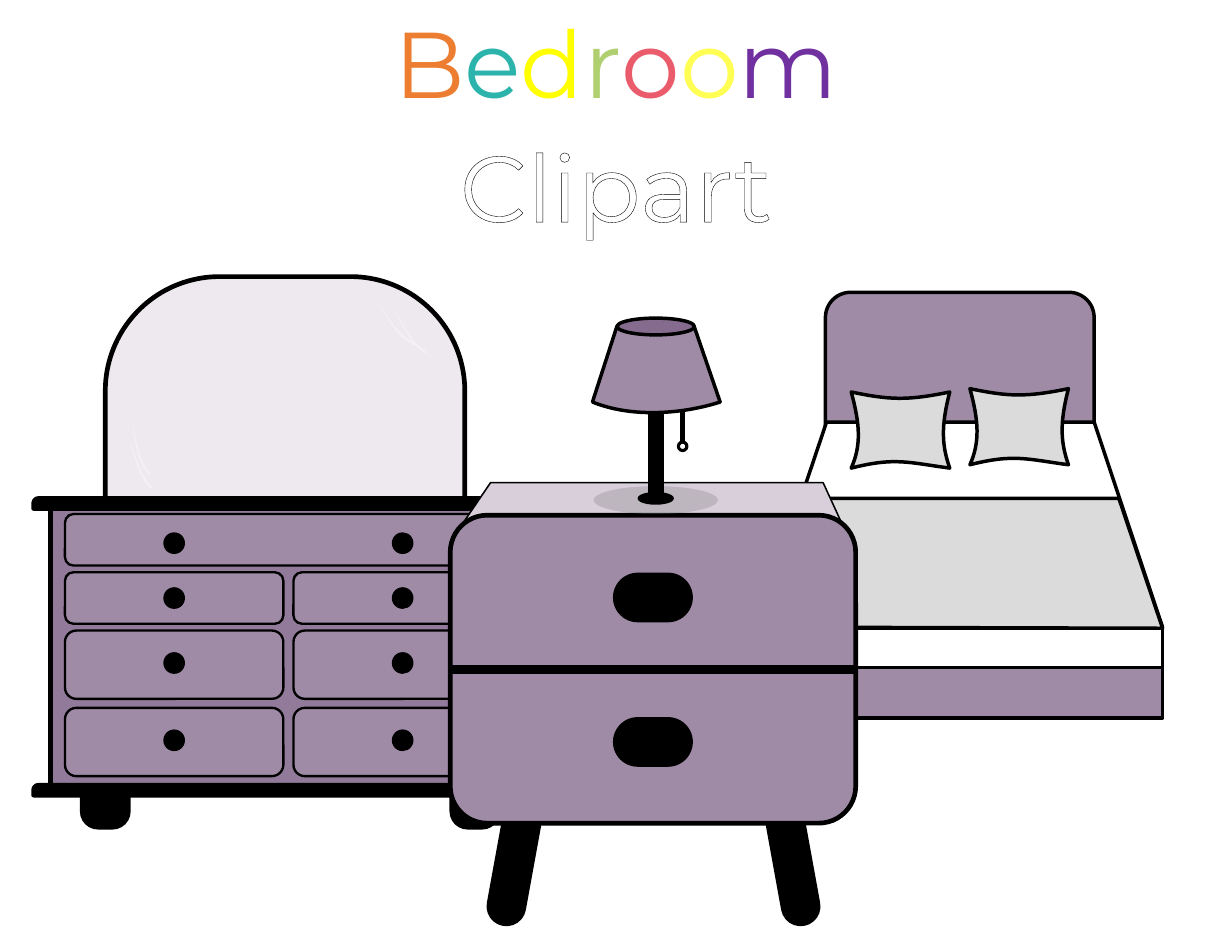
import dataclasses

import lxml.etree
import pptx
import pptx.dml.color
import pptx.enum.shapes
import pptx.enum.text
import pptx.oxml.ns
import pptx.util

CELL = pptx.util.Inches(0.1)  # the slide is a grid of 110 columns by 85 rows
COLUMNS, ROWS = 110, 85
FORMS = pptx.enum.shapes.MSO_SHAPE
COLORS = {
    "black": "000000", "white": "FFFFFF", "mauve": "A08BA7", "plum": "927A9A",
    "deep plum": "856C8E", "pale mauve": "D8CFDB", "mirror": "EDE9EF",
    "linen": "DBDBDB", "shadow": "7C7C7C", "orange": "ED7D31",
    "teal": "2CB4AC", "yellow": "FFFF00", "green": "B0CF71",
    "coral": "EA5B6B", "lemon": "FFFF53", "violet": "7030A0",
}
TITLE_LETTERS = list(zip(
    "Bedroom", ["orange", "teal", "yellow", "green", "coral", "lemon", "violet"]))

# Outlines: a start point, then (x, y) for a line or six numbers for a curve.
PILLOW = [(0, 0), (3.4, 0.7, 4.9, 0.8, 8.8, 0), (8, 3.1, 8.1, 4.8, 8.8, 6.8),
          (5.1, 6.3, 3.9, 5.8, 0, 6.8), (0.9, 4.8, 0.8, 2.9, 0, 0)]
LAMPSHADE = [(0, 7.5), (3.7, 9, 8.3, 8.5, 11.4, 7.5), (9.1, 0.8), (2.2, 0.7), (0, 7.5)]
GLINT = [(0.5, 4.74), (0.24, 4.84, -0.14, 3.25, 0.05, 2.35),
         (0.11, 1.49, 0.4, -0.13, 0.45, 0), (0.38, 0.41, 0.22, 1.98, 0.2, 2.74),
         (0.18, 3.5, 0.54, 4.65, 0.5, 4.74)]
GLINT_PLACES = [(9.2, 14.5, 335.6), (9.2, 13.2, 340.7),
                (33.3, 2.7, 323.1), (32.1, 2.1, 318)]


def rgb(name):
    return pptx.dml.color.RGBColor.from_string(COLORS[name])


def paint(shape, fill, line, opacity=100, line_color="black"):
    shape.shadow.inherit = False
    shape.fill.solid()
    shape.fill.fore_color.rgb = rgb(fill)
    if opacity < 100:
        color = shape.fill._xPr.find(".//" + pptx.oxml.ns.qn("a:srgbClr"))
        lxml.etree.SubElement(color, pptx.oxml.ns.qn("a:alpha"), val=str(opacity * 1000))
    if line:
        shape.line.color.rgb = rgb(line_color)
        shape.line.width = pptx.util.Pt(line)
    else:
        shape.line.fill.background()


def bend(middle, end, points):
    """Turn the two lines that stand for a curve into one Bézier segment."""
    curve = lxml.etree.Element(pptx.oxml.ns.qn("a:cubicBezTo"))
    for x, y in points:
        lxml.etree.SubElement(curve, pptx.oxml.ns.qn("a:pt"), x=str(x), y=str(y))
    middle.getparent().remove(middle)
    end.getparent().replace(end, curve)


@dataclasses.dataclass
class Box:
    """A region in grid cells; everything drawn in it is relative to its corner."""
    shapes: object
    left: float
    top: float
    width: float
    height: float

    def point(self, x, y):
        return round((self.left + x) * CELL), round((self.top + y) * CELL)

    def form(self, form, x, y, width, height, fill="black", line=1, opacity=100,
             line_color="black", adjustments=(), rotation=0):
        shape = self.shapes.add_shape(
            form, *self.point(x, y), round(width * CELL), round(height * CELL))
        for index, value in enumerate(adjustments):
            shape.adjustments[index] = value
        shape.rotation = rotation
        paint(shape, fill, line, opacity, line_color)

    def outline(self, path, fill, line=2.25, opacity=100, x=0, y=0, rotation=0):
        """Draw a path; curves enter by middle and end, so the extents fit them."""
        last, vertices, curves = path[0], [], []
        for segment in path[1:]:
            pairs = list(zip(segment[::2], segment[1::2]))
            if len(pairs) == 3:
                curves.append((len(vertices), pairs))
                first, second, end = pairs
                vertices.append(tuple(
                    (a + 3 * b + 3 * c + d) / 8
                    for a, b, c, d in zip(last, first, second, end)))
            last = pairs[-1]
            vertices.append(last)
        builder = self.shapes.build_freeform(
            *self.point(x + path[0][0], y + path[0][1]), scale=1.0)
        builder.add_line_segments(
            [self.point(x + across, y + down) for across, down in vertices], close=True)
        shape = builder.convert_to_shape()
        lines = list(shape._element.iter(pptx.oxml.ns.qn("a:lnTo")))
        for index, pairs in curves:
            placed = [self.point(x + across, y + down) for across, down in pairs]
            bend(lines[index], lines[index + 1],
                 [(across - shape.left, down - shape.top) for across, down in placed])
        shape.rotation = rotation
        paint(shape, fill, line, opacity)

    def divider(self, y, line):
        connector = self.shapes.add_connector(
            pptx.enum.shapes.MSO_CONNECTOR.STRAIGHT,
            *self.point(0, y), *self.point(self.width, y))
        connector.line.color.rgb = rgb("black")
        connector.line.width = pptx.util.Pt(line)
        lxml.etree.SubElement(
            connector._element.spPr, pptx.oxml.ns.qn("a:effectLst"))


def add_run(paragraph, text, color, outline, size=60, font="Montserrat"):
    run = paragraph.add_run()
    run.text = text
    run.font.size = pptx.util.Pt(size)
    run.font.name = font
    run.font.color.rgb = rgb(color)
    line = lxml.etree.Element(
        pptx.oxml.ns.qn("a:ln"), w=str(pptx.util.Pt(outline)))
    fill = lxml.etree.SubElement(line, pptx.oxml.ns.qn("a:solidFill"))
    lxml.etree.SubElement(fill, pptx.oxml.ns.qn("a:srgbClr"), val=COLORS["black"])
    run.font._element.insert(0, line)


def place_heading(placeholder, top, runs, outline):
    """Fill a full-width placeholder and raise it above what is drawn so far."""
    placeholder.left, placeholder.top = 0, round(top * CELL)
    placeholder.width, placeholder.height = COLUMNS * CELL, round(11.1 * CELL)
    frame = placeholder.text_frame
    frame.word_wrap = True
    frame.auto_size = pptx.enum.text.MSO_AUTO_SIZE.SHAPE_TO_FIT_TEXT
    frame.vertical_anchor = pptx.enum.text.MSO_ANCHOR.TOP
    paragraph = frame.paragraphs[0]
    paragraph.alignment = pptx.enum.text.PP_ALIGN.CENTER
    paragraph.space_before = pptx.util.Pt(0)
    for text, color in runs:
        add_run(paragraph, text, color, outline)
    placeholder.element.getparent().append(placeholder.element)


def draw_bed(box):
    box.form(FORMS.ROUND_2_SAME_RECTANGLE, 6.1, 0, 24, 12.5, "mauve", 2.25,
             adjustments=(0.18, 0))
    box.outline([(6.2, 11.6), (30.1, 11.6), (box.width, 29.9), (0, 30)], "white")
    for height, fill in ((8, "mauve"), (3.5, "white")):
        box.form(FORMS.RECTANGLE, 0, 30, box.width, height, fill, 2.25)
    for x, y in ((8.4, 8.9), (19, 8.6)):
        box.outline(PILLOW, "linen", x=x, y=y)
    box.outline([(3.9, 18.4), (32.3, 18.4), (box.width, 30), (0, 29.9)], "linen")


def draw_dresser(box):
    box.form(FORMS.ROUND_2_SAME_RECTANGLE, 6.4, 0, 32.1, 20.4, "mirror", 3,
             adjustments=(0.5, 0))
    for x in (4.2, 37.2):
        box.form(FORMS.ROUND_2_SAME_RECTANGLE, x, 45.4, 4.4, 3.9,
                 adjustments=(0.4, 0), rotation=180)
    box.form(FORMS.RECTANGLE, 1.5, 20.4, 41.8, 25.3, "plum", 3)
    for y in (19.8, 45.4):
        box.form(FORMS.ROUND_2_SAME_RECTANGLE, 0, y, box.width, 0.9, line=3,
                 adjustments=(0.5, 0))
    columns, drawer_width, knob = (2.8, 23.2), 19.5, 1.8
    box.form(FORMS.ROUNDED_RECTANGLE, columns[0], 21.2, 39.8, 4.6, "mauve", 1.5)
    for y, height in ((26.4, 4.6), (31.6, 6.1), (38.5, 6.1)):
        for x in columns:
            box.form(FORMS.ROUNDED_RECTANGLE, x, y, drawer_width, height, "mauve", 1.5)
    for y in (22.9, 27.8, 33.6, 40.5):
        for x in columns:
            box.form(FORMS.OVAL, x + (drawer_width - knob) / 2, y, knob, knob)
    for x, y, rotation in GLINT_PLACES:
        box.outline(GLINT, "white", line=0, opacity=34, x=x, y=y, rotation=rotation)


def draw_nightstand(box):
    box.outline([(0.4, 4.7), (3.6, 0), (33.3, 0), (35.5, 4.8)], "pale mauve", line=1)
    for x, rotation in ((-0.3, 280.3), (24.4, 79.7)):
        box.form(FORMS.ROUNDED_RECTANGLE, x, 31.8, 12.2, 3.4,
                 adjustments=(0.5,), rotation=rotation)
    box.form(FORMS.ROUNDED_RECTANGLE, 0, 2.9, box.width, 27.5, "mauve", 3,
             adjustments=(0.12,))
    box.divider(16.7, line=6)
    for y in (8.1, 21):
        box.form(FORMS.ROUNDED_RECTANGLE, 14.6, y, 7, 4.3, adjustments=(0.5,))


def draw_lamp(box):
    box.form(FORMS.RECTANGLE, 7.9, 7.9, 0.3, 3.1)
    box.form(FORMS.DONUT, 7.6, 11, 0.9, 0.9, adjustments=(0.16,))
    box.form(FORMS.OVAL, 0.1, 15, 11.1, 2.5, "shadow", line=0, opacity=29)
    box.form(FORMS.OVAL, 4.1, 15.6, 3.1, 1)
    box.form(FORMS.RECTANGLE, 5, 6.6, 1.3, 9.7)
    box.form(FORMS.RECTANGLE, 5, 16.1, 1.5, 0.3, line=0)
    box.outline(LAMPSHADE, "mauve")
    box.form(FORMS.OVAL, 2.2, 0, 6.9, 1.5, "deep plum", 2.25)


def main():
    presentation = pptx.Presentation()
    presentation.slide_width, presentation.slide_height = COLUMNS * CELL, ROWS * CELL
    slide = presentation.slides.add_slide(presentation.slide_layouts[0])
    title, subtitle = slide.placeholders

    def group(*bounds):
        return Box(slide.shapes.add_group_shape().shapes, *bounds)

    page = Box(slide.shapes, 0, 0, COLUMNS, ROWS)
    page.form(FORMS.RECTANGLE, 0, -0.6, COLUMNS, ROWS, "white", line_color="white")
    draw_bed(group(67.6, 26.1, 36.2, 38))
    page.form(FORMS.RECTANGLE, 0, 0, COLUMNS, 11, "white", line=0)
    place_heading(title, 0, TITLE_LETTERS, outline=1)
    place_heading(subtitle, 11, [("Clipart", "white")], outline=2.25)
    draw_dresser(group(3, 24.7, 44.9, 49.3))
    draw_nightstand(group(40.2, 43.1, 36.2, 40))
    draw_lamp(group(52.9, 28.4, 11.4, 17.5))
    presentation.save("out.pptx")


if __name__ == "__main__":
    main()
